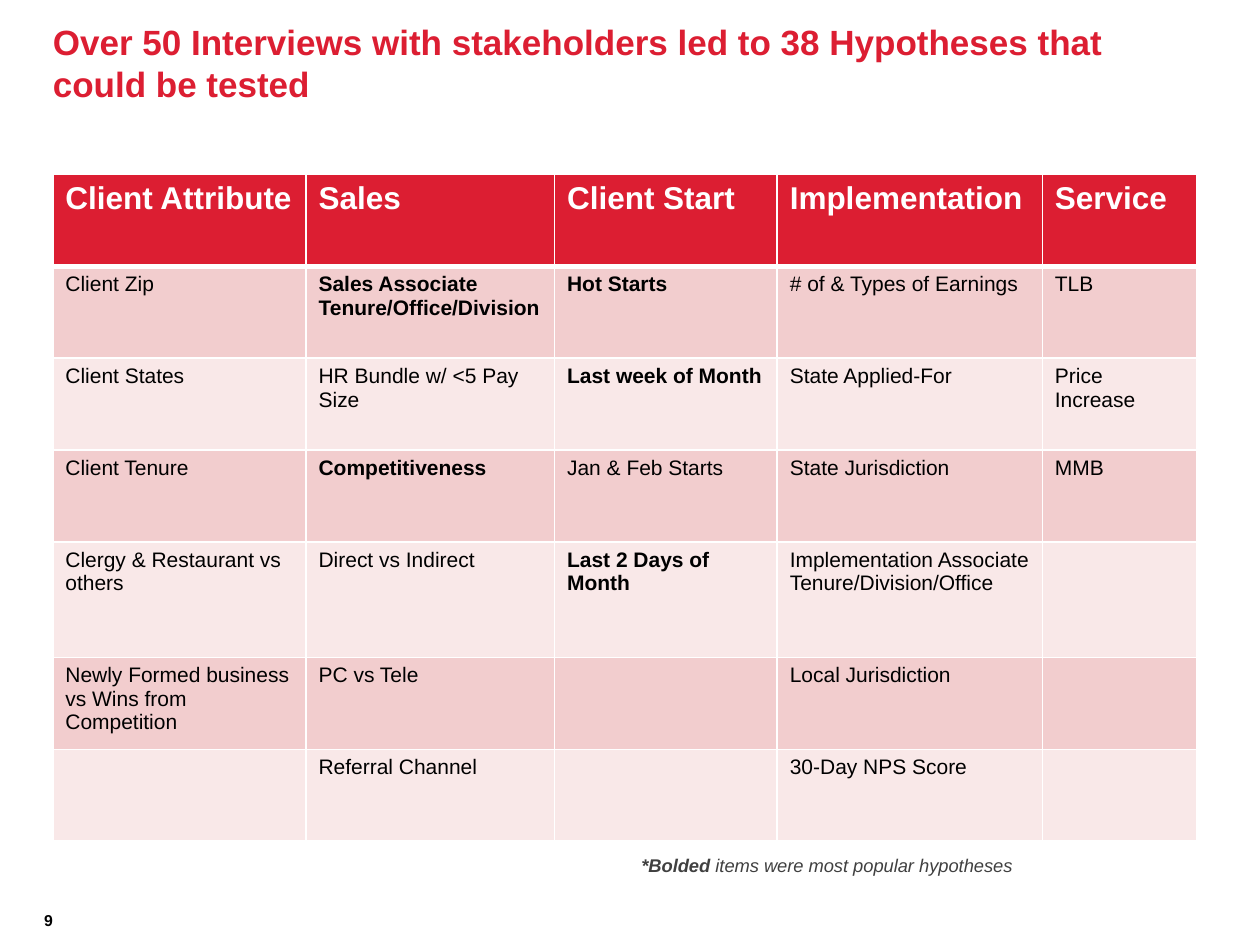
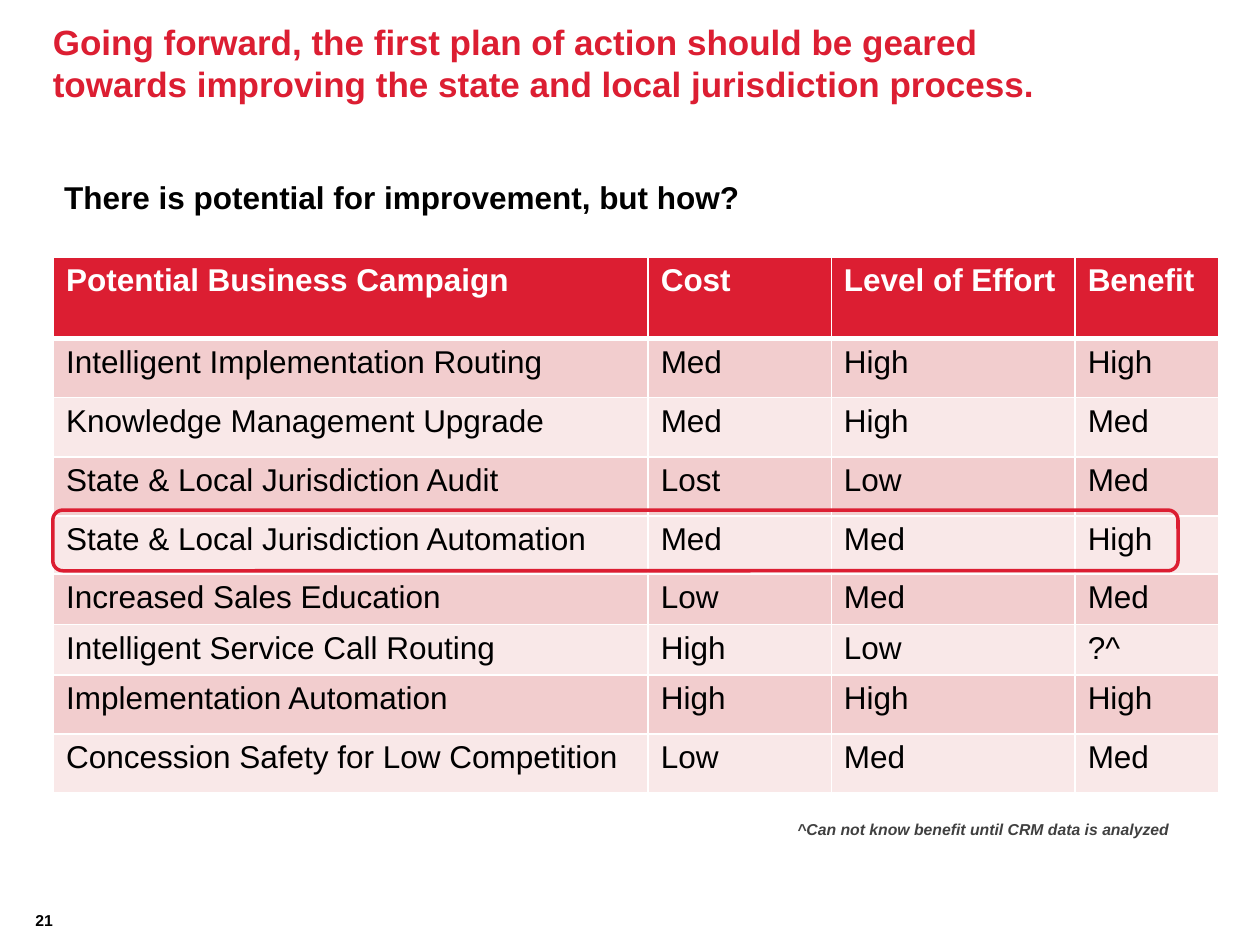
from collections import namedtuple
from dataclasses import dataclass

from lxml import etree
from pptx import Presentation
from pptx.dml.color import RGBColor
from pptx.enum import shapes, text
from pptx.oxml import ns
from pptx.util import Pt

Box = namedtuple("Box", "left top width height")


@dataclass(frozen=True)
class Theme:
    font: str = "Arial"
    red: str = "DC1E32"
    bands: tuple = ("F2CDCE", "F9E8E8")
    white: str = "FFFFFF"
    black: str = "000000"
    grey: str = "404040"
    title: float = 20
    heading: float = 18
    detail: float = 12
    note: float = 10.5
    small: float = 9
    rule: float = 1
    header_rule: float = 3
    outline: float = 2


THEME = Theme()
LEFT = 30.2
TITLE_HEIGHT = 71.3
PAGE_NUMBER = Box(7.2, 502.6, 23, 28.8)

HYPOTHESES = [
    ["Client Attribute", "Sales", "Client Start", "Implementation", "Service"],
    ["Client Zip", "Sales Associate Tenure/Office/Division", "Hot Starts",
     "# of & Types of Earnings", "TLB"],
    ["Client States", "HR Bundle w/ <5 Pay Size", "Last week of Month",
     "State Applied-For", "Price Increase"],
    ["Client Tenure", "Competitiveness", "Jan & Feb Starts",
     "State Jurisdiction", "MMB"],
    ["Clergy & Restaurant vs others", "Direct vs Indirect",
     "Last 2 Days of Month",
     "Implementation Associate Tenure/Division/Office", ""],
    ["Newly Formed business vs Wins from Competition", "PC vs Tele", "",
     "Local Jurisdiction", ""],
    ["", "Referral Channel", "", "30-Day NPS Score", ""],
]
POPULAR = {"Sales Associate Tenure/Office/Division", "Hot Starts",
           "Last week of Month", "Competitiveness", "Last 2 Days of Month"}

CAMPAIGNS = [
    ["Potential Business Campaign", "Cost", "Level of Effort", "Benefit"],
    ["Intelligent Implementation Routing", "Med", "High", "High"],
    ["Knowledge Management Upgrade", "Med", "High", "Med"],
    ["State & Local Jurisdiction Audit", "Lost", "Low", "Med"],
    ["State & Local Jurisdiction Automation", "Med", "Med", "High"],
    ["Increased Sales Education", "Low", "Med", "Med"],
    ["Intelligent Service Call Routing", "High", "Low", "?^"],
    ["Implementation Automation", "High", "High", "High"],
    ["Concession Safety for Low Competition", "Low", "Med", "Med"],
]
RECOMMENDED_ROW = 4


def place(shape, box):
    shape.left, shape.top, shape.width, shape.height = map(Pt, box)


def add_run(paragraph, words, size, color, bold=False, italic=False):
    run = paragraph.add_run()
    run.text = words
    font = run.font
    font.name, font.size = THEME.font, Pt(size)
    font.bold, font.italic = bold, italic
    font.color.rgb = RGBColor.from_string(color)


def prepare_frame(shape, anchor):
    """Wrap the text, drop the insets and return the first paragraph."""
    frame = shape.text_frame
    frame.word_wrap = True
    frame.auto_size = text.MSO_AUTO_SIZE.NONE
    frame.vertical_anchor = anchor
    frame.margin_left = frame.margin_right = 0
    frame.margin_top = frame.margin_bottom = 0
    paragraph = frame.paragraphs[0]
    paragraph.alignment = text.PP_ALIGN.LEFT
    return paragraph


def add_title(slide, words, width):
    title = slide.shapes.title
    place(title, Box(LEFT, 0, width, TITLE_HEIGHT))
    paragraph = prepare_frame(title, text.MSO_ANCHOR.MIDDLE)
    add_run(paragraph, words, THEME.title, THEME.red, bold=True)


def add_page_number(slide, number):
    page = slide.shapes.add_textbox(*map(Pt, PAGE_NUMBER))
    paragraph = prepare_frame(page, text.MSO_ANCHOR.BOTTOM)
    paragraph.alignment = text.PP_ALIGN.RIGHT
    add_run(paragraph, str(number), THEME.small, THEME.black, bold=True)


def add_subtitle(slide, words, box):
    subtitle = slide.placeholders[1]
    place(subtitle, box)
    paragraph = prepare_frame(subtitle, text.MSO_ANCHOR.TOP)
    paragraph.line_spacing = 1.2
    paragraph.space_before = Pt(14)
    properties = paragraph._p.get_or_add_pPr()
    properties.set("marL", "0")
    properties.set("indent", "0")
    etree.SubElement(properties, ns.qn("a:buNone"))
    add_run(paragraph, words, THEME.heading, THEME.black, bold=True)


def add_footnote(slide, box, size, parts):
    """Write (words, bold) parts as one italic line."""
    note = slide.shapes.add_textbox(*map(Pt, box))
    paragraph = prepare_frame(note, text.MSO_ANCHOR.TOP)
    for words, bold in parts:
        add_run(paragraph, words, size, THEME.grey, bold, italic=True)


def set_borders(cell, top, bottom):
    properties = cell._tc.get_or_add_tcPr()
    widths = {"lnL": THEME.rule, "lnR": THEME.rule, "lnT": top, "lnB": bottom}
    for place_in_order, (side, width) in enumerate(widths.items()):
        line = etree.Element(ns.qn(f"a:{side}"), w=str(Pt(width)))
        fill = etree.SubElement(line, ns.qn("a:solidFill"))
        etree.SubElement(fill, ns.qn("a:srgbClr"), val=THEME.white)
        properties.insert(place_in_order, line)


def fill_cell(cell, words, row, size, bold):
    header = row == 0
    cell.fill.solid()
    cell.fill.fore_color.rgb = RGBColor.from_string(
        THEME.red if header else THEME.bands[(row - 1) % 2])
    set_borders(cell,
                top=THEME.header_rule if row == 1 else THEME.rule,
                bottom=THEME.header_rule if header else THEME.rule)
    if words:
        add_run(cell.text_frame.paragraphs[0], words,
                THEME.heading if header else size,
                THEME.white if header else THEME.black, header or bold)


def add_banded_table(slide, left, top, widths, heights, rows, size,
                     emphasised=()):
    box = Box(left, top, sum(widths), sum(heights))
    table = slide.shapes.add_table(len(rows), len(widths),
                                   *map(Pt, box)).table
    table.horz_banding = False
    for column, width in zip(table.columns, widths):
        column.width = Pt(width)
    for r, (entries, height) in enumerate(zip(rows, heights)):
        table.rows[r].height = Pt(height)
        for c, words in enumerate(entries):
            fill_cell(table.cell(r, c), words, r, size, words in emphasised)


def add_highlight(slide, box):
    frame = slide.shapes.add_shape(shapes.MSO_SHAPE.ROUNDED_RECTANGLE,
                                   *map(Pt, box))
    frame.shadow.inherit = False
    frame.fill.background()
    frame.line.color.rgb = RGBColor.from_string(THEME.red)
    frame.line.width = Pt(THEME.outline)


def build_hypotheses(slide):
    add_title(slide, "Over 50 Interviews with stakeholders led to 38 "
                     "Hypotheses that could be tested", width=625.7)
    add_page_number(slide, 9)
    heights = [52.5] * 4 + [66] + [52.5] * 2
    add_banded_table(slide, LEFT, 99.7, [144.7, 142, 127.3, 151.5, 88.2],
                     heights, HYPOTHESES, THEME.detail, POPULAR)
    add_footnote(slide, Box(366.5, 488, 215.3, 13), THEME.note,
                 [("*Bolded", True),
                  (" items were most popular hypotheses", False)])


def build_campaigns(slide):
    add_title(slide, "Going forward, the first plan of action should be "
                     "geared towards improving the state and local "
                     "jurisdiction process.", width=586)
    add_subtitle(slide, "There is potential for improvement, but how?",
                 Box(36.7, 97.2, 473, 41))
    add_page_number(slide, 21)
    top = 146.9
    heights = [46.6] + [33.8] * 3 + [33.2] + [28.8] * 2 + [33.8] * 2
    add_banded_table(slide, LEFT + 0.4, top, [339.8, 104.6, 139.4, 82.2],
                     heights, CAMPAIGNS, THEME.heading)
    row_top = top + sum(heights[:RECOMMENDED_ROW])
    add_highlight(slide, Box(LEFT, row_top - 3.4, 643, 34.7))
    add_footnote(slide, Box(455.6, 468.5, 217.6, 11), THEME.small,
                 [("^Can not know benefit until CRM data is analyzed", True)])


def main():
    deck = Presentation()
    deck.slide_width, deck.slide_height = Pt(720), Pt(540)
    title_and_content, title_only = deck.slide_layouts[1], deck.slide_layouts[5]
    build_hypotheses(deck.slides.add_slide(title_only))
    build_campaigns(deck.slides.add_slide(title_and_content))
    deck.save("out.pptx")


if __name__ == "__main__":
    main()
